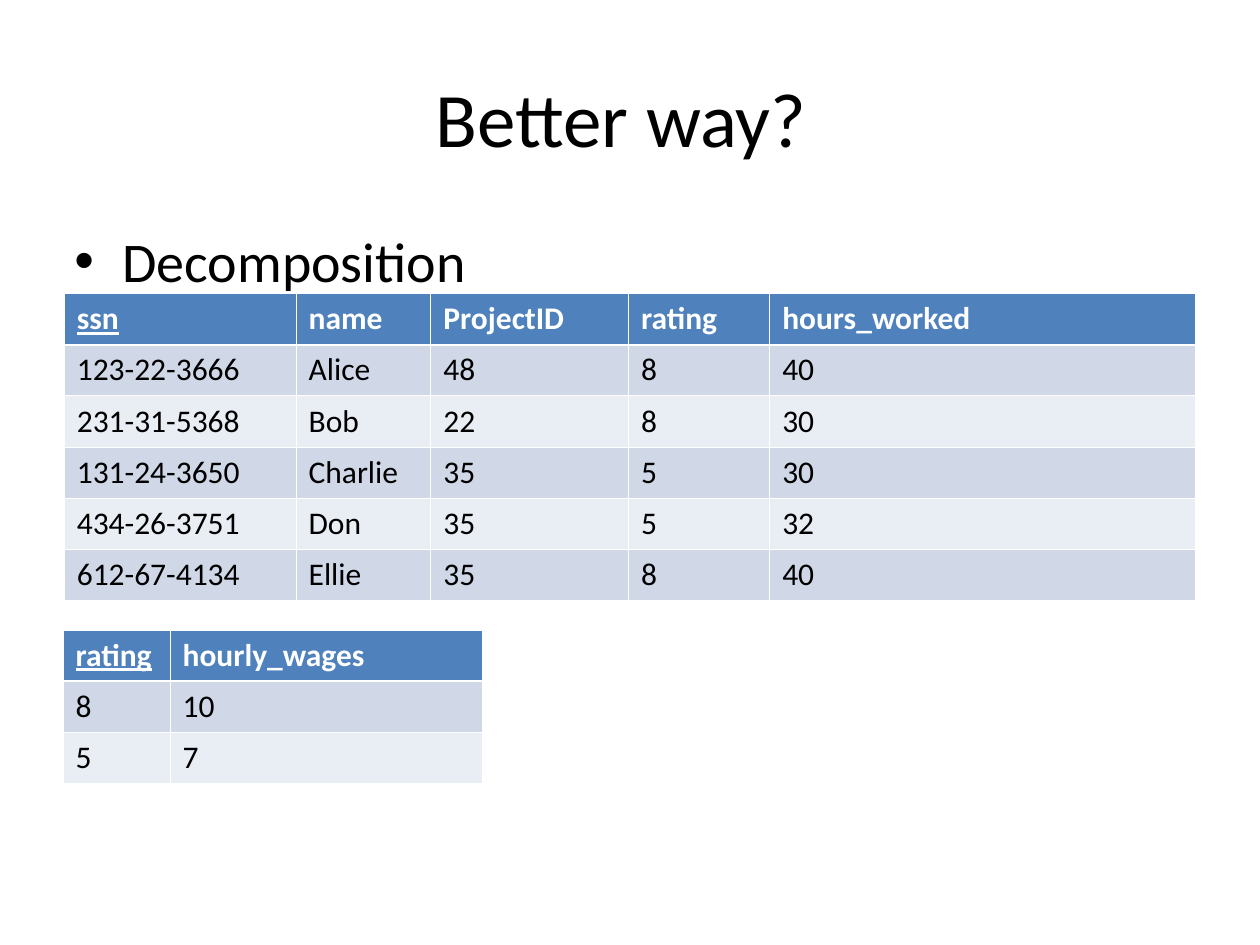
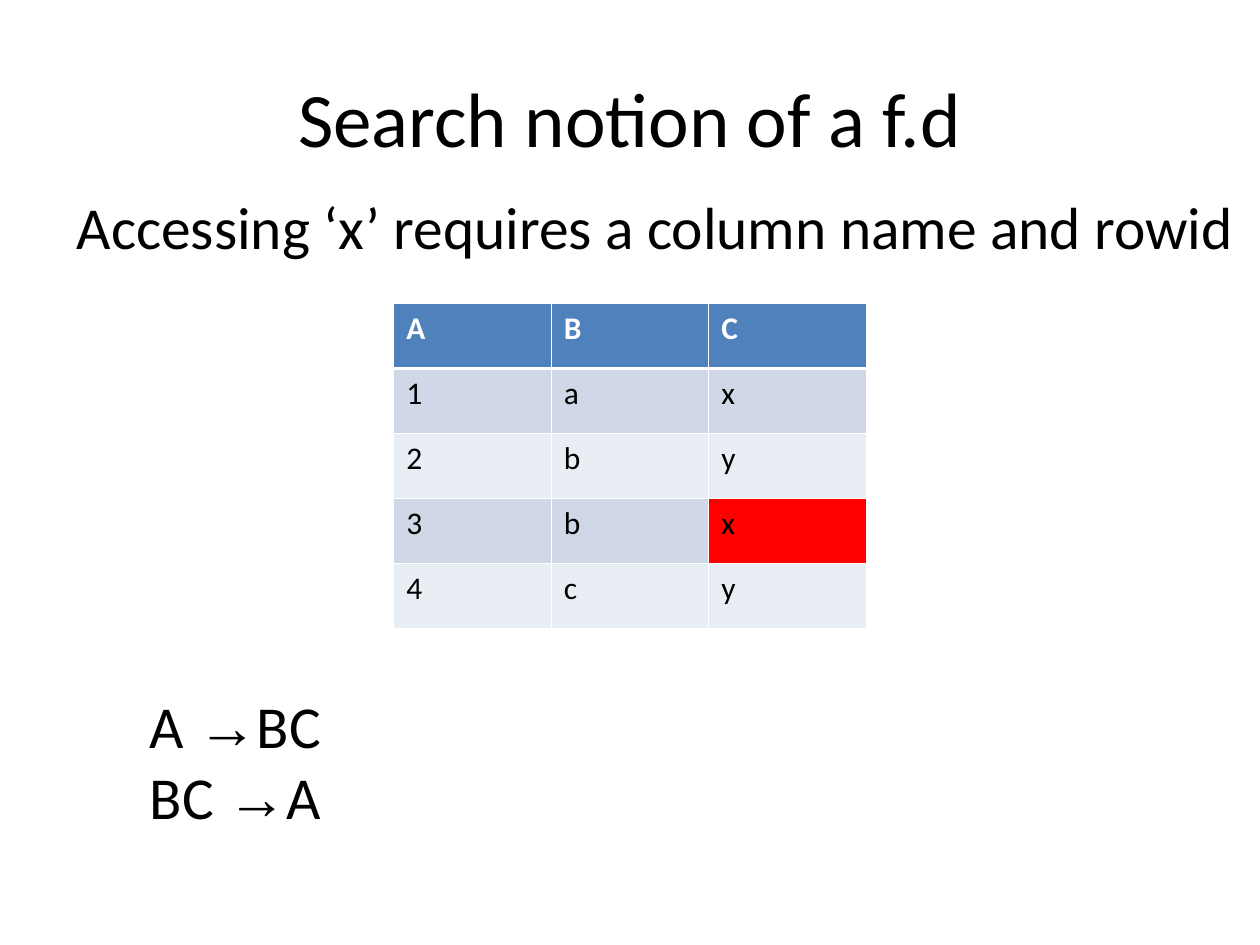
from dataclasses import dataclass

from lxml.etree import SubElement
from pptx import Presentation
from pptx.dml.color import RGBColor
from pptx.enum.text import MSO_ANCHOR, MSO_AUTO_SIZE, PP_ALIGN
from pptx.oxml.ns import qn
from pptx.util import Emu, Inches, Pt


@dataclass(frozen=True)
class Theme:
    font: str = "Calibri"
    symbol_font: str = "Arial"
    ink: str = "000000"
    paper: str = "FFFFFF"
    header: str = "4F81BD"
    bands: tuple[str, str] = ("D0D8E8", "E9EDF4")
    highlight: str = "FF0000"
    title_size: int = 44
    list_size: int = 32
    note_size: int = 34
    table_size: int = 18
    rule: float = 0.45
    header_rule: float = 1.47


@dataclass(frozen=True)
class Frame:
    """A place on the slide in grid columns and rows."""
    left: float
    top: float
    width: float
    height: float

    def lengths(self) -> tuple[Emu, Emu, Emu, Emu]:
        return (grid(self.left), grid(self.top), grid(self.width), grid(self.height))


@dataclass(frozen=True)
class Relation:
    """A table whose first row holds the column names."""
    frame: Frame
    columns: tuple[float, ...]
    rows: tuple[tuple[str, ...], ...]
    key: str = ""
    marked: tuple[int, int] | None = None


THEME = Theme()
COLUMNS, ROWS = 100, 75
SLIDE_WIDTH, SLIDE_HEIGHT = Inches(10), Inches(7.5)
TITLE_FRAME = Frame(5, 3, 90, 12.5)
ARROW = "→"

WORKERS = Relation(
    Frame(5.1, 23.3, 89.8, 24.3),
    (18.4, 10.7, 15.7, 11.2, 33.8),
    (
        ("ssn", "name", "ProjectID", "rating", "hours_worked"),
        ("123-22-3666", "Alice", "48", "8", "40"),
        ("231-31-5368", "Bob", "22", "8", "30"),
        ("131-24-3650", "Charlie", "35", "5", "30"),
        ("434-26-3751", "Don", "35", "5", "32"),
        ("612-67-4134", "Ellie", "35", "8", "40"),
    ),
    key="ssn",
)
WAGES = Relation(
    Frame(5, 50, 33.3, 12.1),
    (8.5, 24.8),
    (("rating", "hourly_wages"), ("8", "10"), ("5", "7")),
    key="rating",
)
LOOKUP = Relation(
    Frame(31.25, 24.1, 37.5, 25.8),
    (12.5,) * 3,
    (("A", "B", "C"), ("1", "a", "x"), ("2", "b", "y"), ("3", "b", "x"), ("4", "c", "y")),
    marked=(3, 2),
)


def grid(steps: float) -> Emu:
    """Grid cells are square, so one step serves both directions."""
    return Emu(round(SLIDE_WIDTH * steps / COLUMNS))


def add_span(para, text: str, size: float, color: str = THEME.ink,
             font: str = THEME.font, bold: bool = False, underline: bool = False) -> None:
    span = para.add_run()
    span.text = text
    span.font.name = font
    span.font.size = Pt(size)
    span.font.bold = bold
    span.font.underline = underline
    span.font.color.rgb = RGBColor.from_string(color)


def place(shape, frame: Frame) -> None:
    shape.left, shape.top, shape.width, shape.height = frame.lengths()


def add_page(deck, layout: int, title: str):
    page = deck.slides.add_slide(deck.slide_layouts[layout])
    box = page.shapes.title
    place(box, TITLE_FRAME)
    box.text_frame.auto_size = MSO_AUTO_SIZE.NONE
    box.text_frame.vertical_anchor = MSO_ANCHOR.MIDDLE
    para = box.text_frame.paragraphs[0]
    para.alignment = PP_ALIGN.CENTER
    add_span(para, title, THEME.title_size)
    return page


def fill_list(box, frame: Frame, items: tuple[str, ...]) -> None:
    place(box, frame)
    text = box.text_frame
    text.auto_size = MSO_AUTO_SIZE.NONE
    for number, item in enumerate(items):
        para = text.add_paragraph() if number else text.paragraphs[0]
        para.space_before = Pt(8)
        add_span(para, item, THEME.list_size)
        indent = Inches(0.38)
        properties = para._p.get_or_add_pPr()
        properties.set("marL", str(indent))
        properties.set("indent", str(-indent))
        SubElement(properties, qn("a:buChar"), char="•")


def add_note(page, frame: Frame, lines: tuple[str, ...]) -> None:
    """Write one paragraph a line, with arrows in the symbol font."""
    text = page.shapes.add_textbox(*frame.lengths()).text_frame
    text.word_wrap = False
    text.auto_size = MSO_AUTO_SIZE.SHAPE_TO_FIT_TEXT
    for number, line in enumerate(lines):
        para = text.add_paragraph() if number else text.paragraphs[0]
        before, arrow, after = line.partition(ARROW)
        add_span(para, before, THEME.note_size)
        if arrow:
            add_span(para, arrow, THEME.note_size, font=THEME.symbol_font)
            add_span(para, after, THEME.note_size)


def set_borders(cell, row: int) -> None:
    """Draw thin rules, with a thicker one below the header row."""
    heavy_sides = {0: "B", 1: "T"}
    properties = cell._tc.get_or_add_tcPr()
    for position, side in enumerate("LRTB"):
        width = THEME.header_rule if heavy_sides.get(row) == side else THEME.rule
        line = SubElement(properties, qn(f"a:ln{side}"), w=str(Pt(width)))
        fill = SubElement(line, qn("a:solidFill"))
        SubElement(fill, qn("a:srgbClr"), val=THEME.paper)
        properties.insert(position, line)


def add_relation(page, relation: Relation) -> None:
    row_count = len(relation.rows)
    table = page.shapes.add_table(
        row_count, len(relation.columns), *relation.frame.lengths()).table
    table.first_row = table.horz_banding = False
    for column, width in zip(table.columns, relation.columns):
        column.width = grid(width)
    for row, values in enumerate(relation.rows):
        table.rows[row].height = grid(relation.frame.height / row_count)
        is_header = row == 0
        row_fill = THEME.header if is_header else THEME.bands[(row - 1) % 2]
        for column, value in enumerate(values):
            cell = table.cell(row, column)
            fill = THEME.highlight if (row, column) == relation.marked else row_fill
            cell.fill.solid()
            cell.fill.fore_color.rgb = RGBColor.from_string(fill)
            set_borders(cell, row)
            add_span(
                cell.text_frame.paragraphs[0], value, THEME.table_size,
                color=THEME.paper if is_header else THEME.ink, bold=is_header,
                underline=is_header and value == relation.key)


def main() -> None:
    deck = Presentation()
    deck.slide_width, deck.slide_height = SLIDE_WIDTH, SLIDE_HEIGHT

    # Decomposition into two relations
    page = add_page(deck, 1, "Better way? ")
    fill_list(page.placeholders[1], Frame(4.9, 17.5, 90, 49.5), ("Decomposition",))
    add_relation(page, WORKERS)
    add_relation(page, WAGES)

    # Functional dependency as a search
    page = add_page(deck, 5, "Search notion of a f.d")
    add_relation(page, LOOKUP)
    add_note(page, Frame(5.1, 14.6, 93.9, 6.7),
             ("Accessing ‘x’ requires a column name and rowid",))
    add_note(page, Frame(10.9, 54.2, 15.6, 12.4), ("A →BC", "BC →A"))

    deck.save("out.pptx")


if __name__ == "__main__":
    main()
